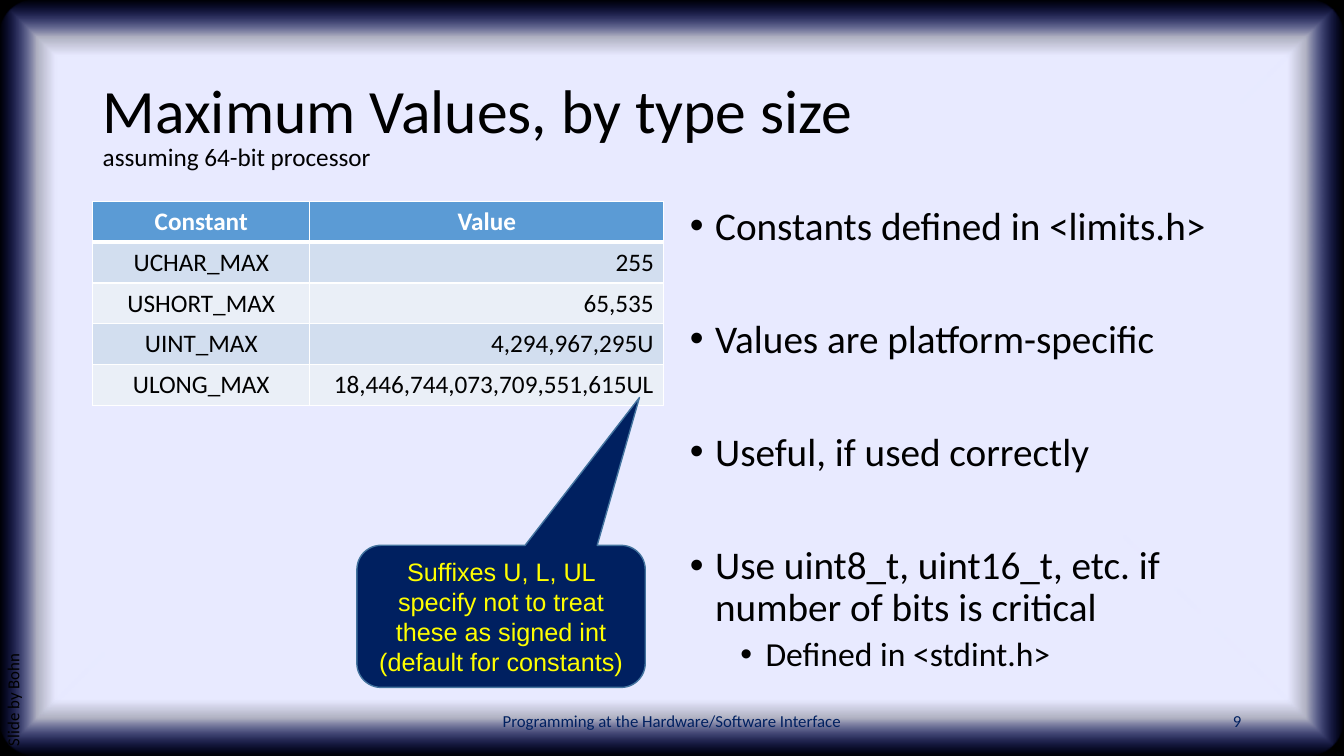
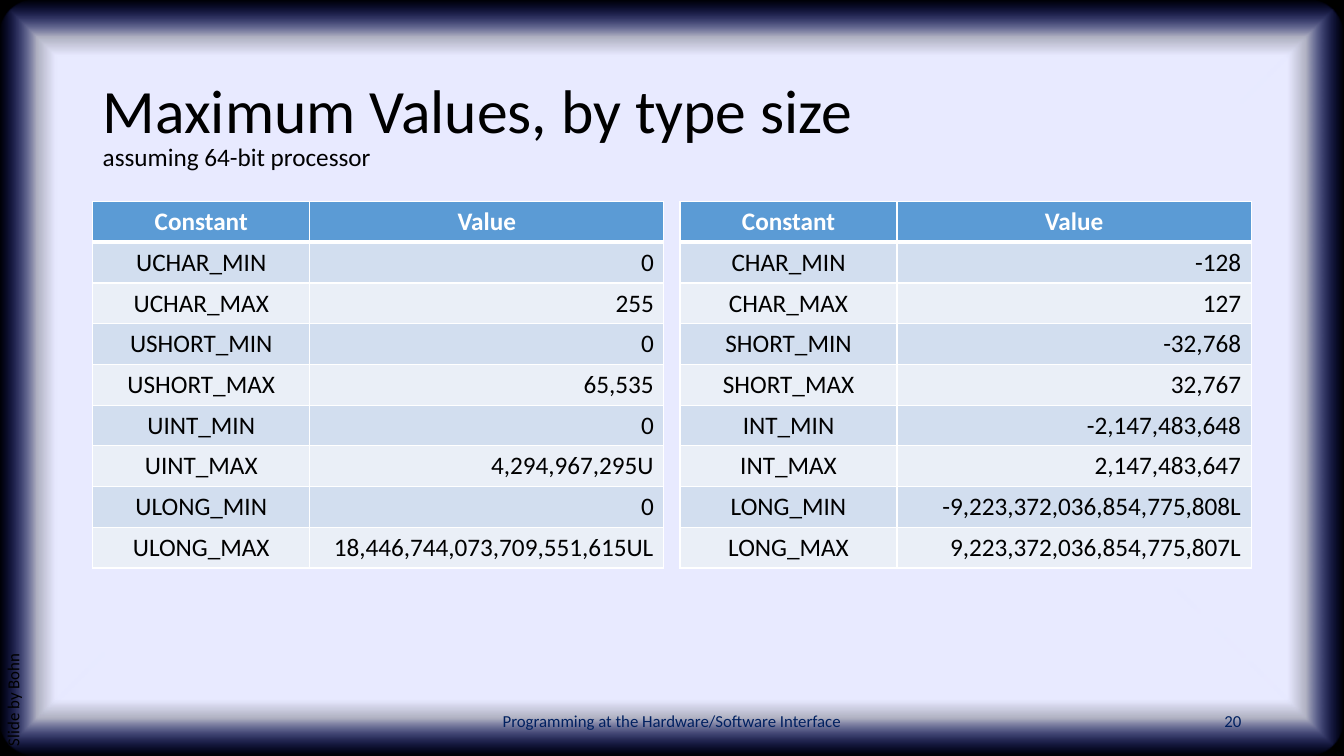
import pptx
import pptx.dml.color
import pptx.enum.shapes
import pptx.enum.text
import pptx.oxml
import pptx.oxml.ns
import pptx.util

SHAPES = pptx.enum.shapes.MSO_SHAPE
ALIGN = pptx.enum.text.PP_ALIGN
ANCHOR = pptx.enum.text.MSO_ANCHOR
INCH = pptx.util.Inches

WIDTH, HEIGHT = 13.33, 7.5
MARGIN, COLUMN_GAP = 0.92, 0.16
COLUMN_WIDTH = (WIDTH - 2 * MARGIN - COLUMN_GAP) / 2
COLUMNS = [MARGIN + i * (COLUMN_WIDTH + COLUMN_GAP) for i in range(2)]
CONTENT_TOP = 2
FOOTER_TOP, FOOTER_HEIGHT = 6.95, 0.4
CONSTANT_SHARE = 0.38
ROW_HEIGHT = pptx.util.Pt(29.1)

BLACK, WHITE, NAVY, YELLOW = "000000", "FFFFFF", "002060", "FFFF00"
HEADER_FILL, BANDS = "5B9BD5", ("D2DEEF", "EAEFF7")
CALLOUT_LINE = "43739E"
GLOW_STOPS = [(85, "E8EAFF", 100), (90, "E8EAFF", 75), (100, "162AFF", 0)]

TITLE = "Maximum Values, by type size"
SUBTITLE = "assuming 64-bit processor"
FOOTER = "Programming at the Hardware/Software Interface"
CREDIT = "Slide by Bohn"
HEADER = ("Constant", "Value")
UNSIGNED_MAXIMA = [
    ("UCHAR_MAX", "255"),
    ("USHORT_MAX", "65,535"),
    ("UINT_MAX", "4,294,967,295U"),
    ("ULONG_MAX", "18,446,744,073,709,551,615UL"),
]
UNSIGNED_LIMITS = [
    row
    for name, value in UNSIGNED_MAXIMA
    for row in ((name.replace("MAX", "MIN"), "0"), (name, value))
]
SIGNED_LIMITS = [
    ("CHAR_MIN", "-128"),
    ("CHAR_MAX", "127"),
    ("SHORT_MIN", "-32,768"),
    ("SHORT_MAX", "32,767"),
    ("INT_MIN", "-2,147,483,648"),
    ("INT_MAX", "2,147,483,647"),
    ("LONG_MIN", "-9,223,372,036,854,775,808L"),
    ("LONG_MAX", "9,223,372,036,854,775,807L"),
]
BULLETS = [
    ("Constants defined in <limits.h>", dict(size=28, before=10, indent=0.25)),
    ("Values are platform-specific", dict(size=28, before=50.5, indent=0.25)),
    ("Useful, if used correctly", dict(size=28, before=50.5, indent=0.25)),
    ("Use uint8_t, uint16_t, etc. if number of bits is critical",
     dict(size=28, before=50.5, indent=0.25)),
    ("Defined in <stdint.h>", dict(size=24, before=5, indent=0.75)),
]
CALLOUT = "Suffixes U, L, UL specify not to treat these as signed int (default for constants)"
SLIDES = [
    dict(number="9", tables=[UNSIGNED_MAXIMA], bullets=BULLETS, callout=CALLOUT),
    dict(number="20", tables=[UNSIGNED_LIMITS, SIGNED_LIMITS]),
]


def color(value):
    return pptx.dml.color.RGBColor.from_string(value)


def element(markup):
    return pptx.oxml.parse_xml(markup.replace(">", f' {pptx.oxml.ns.nsdecls("a")}>', 1))


def write(paragraph, text, size=18, font="Calibri", ink=BLACK, bold=False,
          align=ALIGN.LEFT, spacing=None, before=None, indent=None):
    run = paragraph.add_run()
    run.text = text
    run.font.size = pptx.util.Pt(size)
    run.font.name = font
    run.font.bold = bold
    run.font.color.rgb = color(ink)
    paragraph.alignment = align
    if spacing:
        paragraph.line_spacing = spacing
    if before:
        paragraph.space_before = pptx.util.Pt(before)
    if indent:
        properties = paragraph._p.get_or_add_pPr()
        properties.set("marL", str(INCH(indent)))
        properties.set("indent", str(-INCH(0.25)))
        properties.append(element('<a:buFont typeface="Arial"></a:buFont>'))
        properties.append(element('<a:buChar char="•"></a:buChar>'))


def add_text(slide, box, paragraphs, anchor=ANCHOR.TOP, wrap=True, rotation=0):
    shape = slide.shapes.add_textbox(*map(INCH, box))
    shape.rotation = rotation
    frame = shape.text_frame
    frame.word_wrap = wrap
    frame.vertical_anchor = anchor
    for index, (text, style) in enumerate(paragraphs):
        write(frame.add_paragraph() if index else frame.paragraphs[0], text, **style)


def add_filled_shape(slide, kind, box, fill, line=None):
    shape = slide.shapes.add_shape(kind, *map(INCH, box))
    shape.shadow.inherit = False
    shape.fill.solid()
    shape.fill.fore_color.rgb = color(fill)
    if line:
        shape.line.color.rgb = color(line)
        shape.line.width = pptx.util.Pt(1)
    else:
        shape.line.fill.background()
    return shape


def add_background(slide):
    page = (0, 0, WIDTH, HEIGHT)
    add_filled_shape(slide, SHAPES.RECTANGLE, page, BLACK)
    glow = add_filled_shape(slide, SHAPES.ROUNDED_RECTANGLE, page, WHITE)
    glow.adjustments[0] = 0.05
    stops = "".join(
        f'<a:gs pos="{position * 1000}"><a:srgbClr val="{value}">'
        f'<a:alpha val="{alpha * 1000}"/></a:srgbClr></a:gs>'
        for position, value, alpha in GLOW_STOPS
    )
    gradient = element(
        f'<a:gradFill rotWithShape="1"><a:gsLst>{stops}</a:gsLst><a:path path="shape">'
        '<a:fillToRect l="50000" t="50000" r="50000" b="50000"/></a:path></a:gradFill>'
    )
    properties = glow._element.spPr
    properties.replace(properties.find(pptx.oxml.ns.qn("a:solidFill")), gradient)


def add_frame(slide, number):
    add_background(slide)
    add_text(slide, (MARGIN, 0.4, WIDTH - 2 * MARGIN, 1.45),
             [(TITLE, dict(size=44, spacing=0.9))], anchor=ANCHOR.MIDDLE)
    add_text(slide, (MARGIN, 1.35, 2.91, 0.4), [(SUBTITLE, {})], wrap=False)
    small = dict(size=12, ink=NAVY)
    add_text(slide, ((WIDTH - 4.5) / 2, FOOTER_TOP, 4.5, FOOTER_HEIGHT),
             [(FOOTER, dict(small, align=ALIGN.CENTER))], anchor=ANCHOR.MIDDLE)
    add_text(slide, (WIDTH - MARGIN - 3, FOOTER_TOP, 3, FOOTER_HEIGHT),
             [(number, dict(small, align=ALIGN.RIGHT))], anchor=ANCHOR.MIDDLE)
    add_text(slide, (-2.44, 4.66, 5.28, 0.4),
             [(CREDIT, dict(size=12, spacing=0.9, before=10))], rotation=270)


def format_cell(cell, fill, top, bottom):
    properties = cell._tc.get_or_add_tcPr()
    for side, points in (("L", 1), ("R", 1), ("T", top), ("B", bottom)):
        properties.append(element(
            f'<a:ln{side} w="{pptx.util.Pt(points)}"><a:solidFill>'
            f'<a:srgbClr val="{WHITE}"/></a:solidFill></a:ln{side}>'
        ))
    cell.fill.solid()
    cell.fill.fore_color.rgb = color(fill)


def add_limits_table(slide, left, limits):
    rows = [HEADER] + limits
    table = slide.shapes.add_table(
        len(rows), len(HEADER), INCH(left), INCH(CONTENT_TOP),
        INCH(COLUMN_WIDTH), ROW_HEIGHT * len(rows)).table
    for column, share in zip(table.columns, (CONSTANT_SHARE, 1 - CONSTANT_SHARE)):
        column.width = INCH(COLUMN_WIDTH * share)
    for row_index, row in enumerate(rows):
        table.rows[row_index].height = ROW_HEIGHT
        header = row_index == 0
        fill = HEADER_FILL if header else BANDS[(row_index - 1) % 2]
        for column_index, text in enumerate(row):
            cell = table.cell(row_index, column_index)
            format_cell(cell, fill, 3 if row_index == 1 else 1, 3 if header else 1)
            write(cell.text_frame.paragraphs[0], text, bold=header,
                  ink=WHITE if header else BLACK,
                  align=ALIGN.CENTER if header or column_index == 0 else ALIGN.RIGHT)


def add_callout(slide, text):
    shape = add_filled_shape(slide, SHAPES.ROUNDED_RECTANGULAR_CALLOUT,
                             (3.54, 5.41, 2.86, 1.41), NAVY, CALLOUT_LINE)
    for index, value in enumerate((0.48, -1.54, 0.17)):
        shape.adjustments[index] = value
    shape.text_frame.word_wrap = True
    shape.text_frame.vertical_anchor = ANCHOR.MIDDLE
    write(shape.text_frame.paragraphs[0], text, font="Arial", ink=YELLOW, align=ALIGN.CENTER)


def main():
    presentation = pptx.Presentation()
    presentation.slide_width = INCH(WIDTH)
    presentation.slide_height = INCH(HEIGHT)
    for content in SLIDES:
        slide = presentation.slides.add_slide(presentation.slide_layouts[6])
        add_frame(slide, content["number"])
        for left, limits in zip(COLUMNS, content["tables"]):
            add_limits_table(slide, left, limits)
        if "bullets" in content:
            add_text(slide, (COLUMNS[1], CONTENT_TOP, COLUMN_WIDTH, 4.76),
                     [(text, dict(style, spacing=0.9)) for text, style in content["bullets"]])
        if "callout" in content:
            add_callout(slide, content["callout"])
    presentation.save("out.pptx")


if __name__ == "__main__":
    main()
